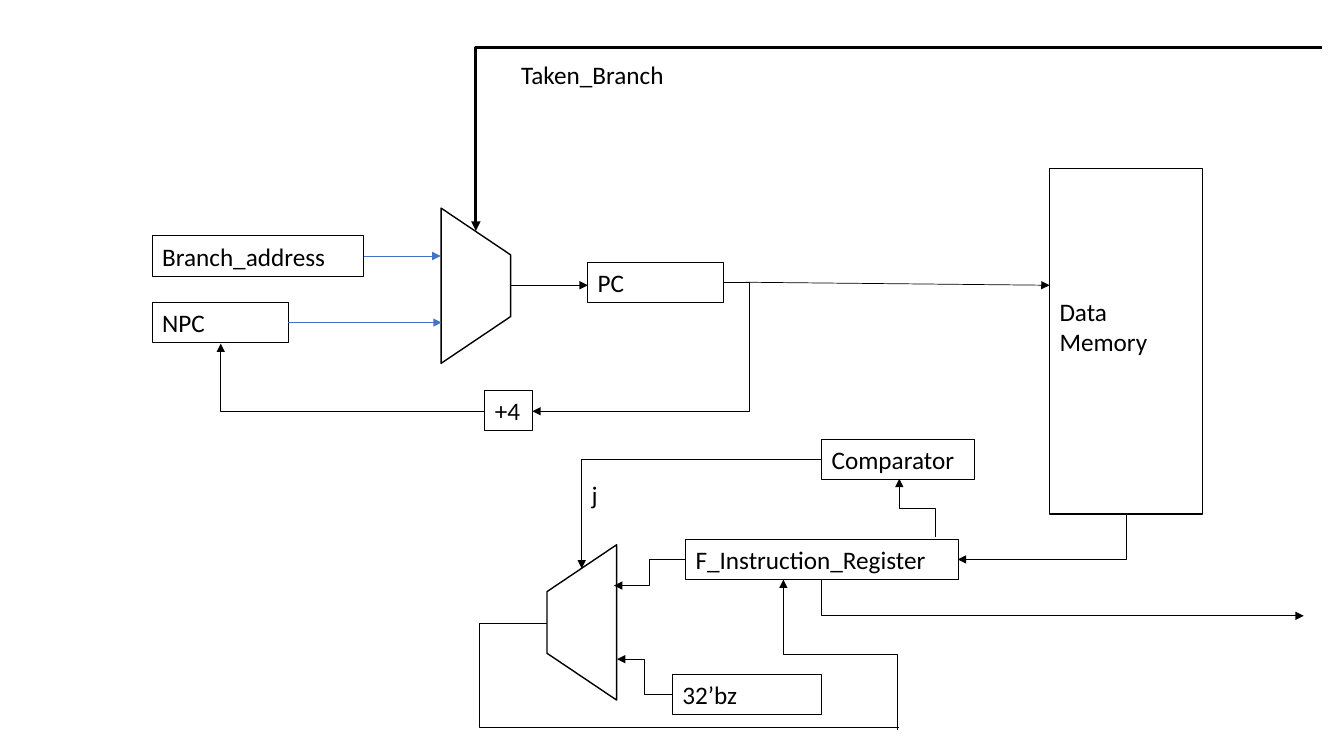
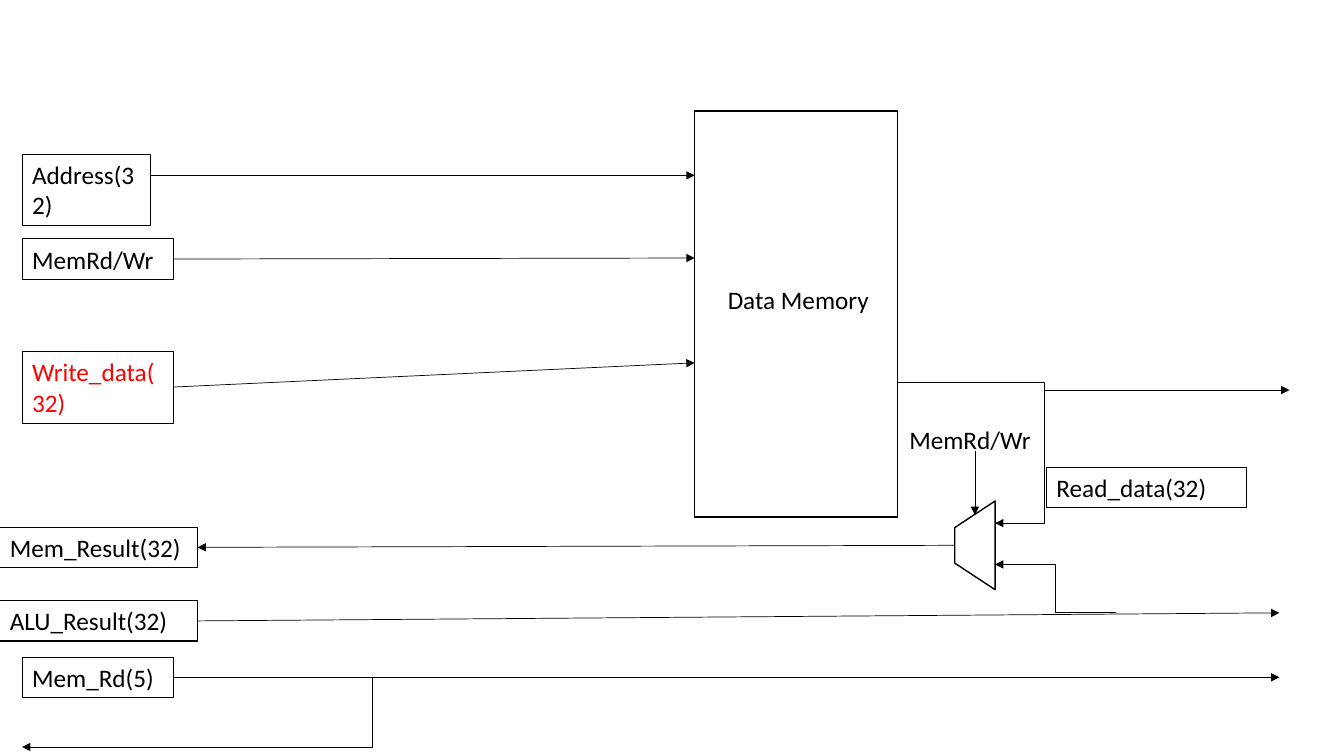
import pptx
import pptx.util
import pptx.dml.color
import pptx.enum.shapes
import pptx.enum.text
import pptx.oxml
import pptx.oxml.ns
import lxml.etree

Inches, Pt = pptx.util.Inches, pptx.util.Pt
RGBColor = pptx.dml.color.RGBColor
SHAPE = pptx.enum.shapes.MSO_SHAPE
LINK = pptx.enum.shapes.MSO_CONNECTOR
qn = pptx.oxml.ns.qn

# Shared look
BLACK = RGBColor(0, 0, 0)
WHITE = RGBColor(255, 255, 255)
RED = RGBColor(255, 0, 0)
BLUE = RGBColor(0x44, 0x72, 0xC4)
FONT, SIZE = "Calibri", 18
ROW = 0.4    # height of a one-line box
LINE = 0.305  # height of one text line

deck = pptx.Presentation()
deck.slide_width, deck.slide_height = Inches(13.33), Inches(7.5)


def block(slide, text, x, y, w, h=ROW, color=BLACK, edge=0.75, drop=0):
    """Text in a bordered box, or a bare label when edge is 0."""
    area = [Inches(n) for n in (x, y, w, h)]
    if edge:
        shape = slide.shapes.add_shape(SHAPE.RECTANGLE, *area)
        shape.shadow.inherit = False
        shape.fill.solid()
        shape.fill.fore_color.rgb = WHITE
        shape.line.color.rgb = BLACK
        shape.line.width = Pt(edge)
    else:
        shape = slide.shapes.add_textbox(*area)
    frame = shape.text_frame
    frame.word_wrap = True
    frame.vertical_anchor = pptx.enum.text.MSO_ANCHOR.TOP
    frame.margin_top = Inches(0.05 + drop * LINE)
    para = frame.paragraphs[0]
    para.text = text
    para.alignment = pptx.enum.text.PP_ALIGN.LEFT
    para.font.name, para.font.size = FONT, Pt(SIZE)
    para.font.color.rgb = color


def wire(slide, *pts, color=BLACK, width=0.5, arrow=True):
    """Straight or right-angled connector through the given points."""
    (x1, y1), (x2, y2) = pts[0], pts[-1]
    dx, dy = x2 - x1, y2 - y1
    bent = len(pts) > 2
    turned = bent and pts[1][0] == x1  # sets off vertically
    u, v = (dy, -dx) if turned else (dx, dy)
    cx, cy = (x1 + x2) / 2, (y1 + y2) / 2
    ends = (cx - u / 2, cy - v / 2, cx + u / 2, cy + v / 2)
    kind = LINK.ELBOW if bent else LINK.STRAIGHT
    link = slide.shapes.add_connector(kind, *[Inches(n) for n in ends])
    link.line.color.rgb = color
    link.line.width = Pt(width)
    props = link._element.spPr
    if turned:
        props.find(qn("a:xfrm")).set("rot", "5400000")
    if bent:
        geom = props.find(qn("a:prstGeom"))
        geom.set("prst", f"bentConnector{len(pts) - 1}")
        guides = geom.find(qn("a:avLst"))
        # Each inner leg is placed as a share of the whole run
        for i in range(1, len(pts) - 2):
            flat = (i % 2 == 1) != turned
            share = (pts[i][0] - x1) / dx if flat else (pts[i + (i > 1)][1] - y1) / dy
            if i == 2:
                share = (pts[2][0] - x1) / dx if turned else (pts[2][1] - y1) / dy
            lxml.etree.SubElement(guides, qn("a:gd"), name=f"adj{i}",
                                  fmla=f"val {round(share * 100000)}")
    if arrow:
        lxml.etree.SubElement(props.find(qn("a:ln")), qn("a:tailEnd"), type="triangle")
    lxml.etree.SubElement(props, qn("a:effectLst"))


fetch, memory = [deck.slides.add_slide(deck.slide_layouts[6]) for _ in range(2)]

# Multiplexers
for slide, x, y, w, h, turn, slant in [
    (fetch, 3.95, 2.49, 1.54, 0.69, 90, 0.673),
    (fetch, 5, 5.83, 1.54, 0.69, 270, 0.673),
    (memory, 9.23, 5.21, 0.88, 0.4, 270, 0.659),
]:
    mux = slide.shapes.add_shape(SHAPE.TRAPEZOID, *[Inches(n) for n in (x, y, w, h)])
    mux.rotation = turn
    mux.adjustments[0] = slant
    mux.shadow.inherit = False
    mux.fill.solid()
    mux.fill.fore_color.rgb = WHITE
    mux.line.color.rgb = BLACK
    mux.line.width = Pt(1)

# Fetch stage: boxes and labels
for text, x, y, w in [
    ("Branch_address", 1.51, 2.34, 2.1),
    ("NPC", 1.51, 3, 1.35),
    ("PC", 5.83, 2.6, 1.35),
    ("+4", 4.81, 3.87, 0.47),
    ("F_Instruction_Register", 6.8, 5.35, 2.71),
    ("Comparator", 8.15, 4.36, 1.52),
    ("32’bz", 6.67, 6.69, 1.48),
]:
    block(fetch, text, x, y, w)
block(fetch, "Data Memory", 10.41, 1.67, 1.52, 3.43, drop=4)
block(fetch, "Taken_Branch", 5.07, 0.54, 1.73, edge=0)
block(fetch, "j", 5.77, 4.71, 0.46, edge=0)

# Fetch stage: wires
wire(fetch, (3.61, 2.54), (4.37, 2.54), color=BLUE)
wire(fetch, (2.86, 3.2), (4.38, 3.2), color=BLUE)
wire(fetch, (13.11, 0.47), (4.72, 0.47), (4.72, 2.29), width=2.25)
wire(fetch, (5.43, 6.18), (4.75, 6.18), (4.75, 7.22), (8.92, 7.22), arrow=False)
for pts in [
    [(5.07, 2.83), (5.83, 2.83)],
    [(7.18, 2.8), (7.43, 2.8), (7.43, 4.08), (5.28, 4.08)],
    [(4.81, 4.08), (2.19, 4.08), (2.19, 3.41)],
    [(7.4, 2.8), (10.41, 2.83)],
    [(11.17, 5.1), (11.17, 5.55), (9.5, 5.55)],
    [(8.15, 5.75), (8.15, 6.11), (12.93, 6.11)],
    [(9.28, 5.33), (9.28, 5.04), (8.92, 5.04), (8.92, 4.75)],
    [(8.15, 4.56), (5.77, 4.56), (5.77, 5.64)],
    [(6.67, 6.89), (6.39, 6.89), (6.39, 6.54), (6.12, 6.54)],
    [(6.8, 5.55), (6.44, 5.55), (6.44, 5.81), (6.09, 5.81)],
    [(8.9, 7.24), (8.9, 6.49), (7.77, 6.49), (7.77, 5.75)],
]:
    wire(fetch, *pts)

# Memory stage: boxes and labels
block(memory, "", 6.89, 1.1, 2.01, 4.03, edge=1)
block(memory, "Data Memory", 7.12, 2.77, 1.77, edge=0)
block(memory, "MemRd/Wr", 8.92, 4.16, 1.43, edge=0)
block(memory, "Address(32)", 0.22, 1.53, 1.27, 0.71)
block(memory, "Write_data(32)", 0.22, 3.49, 1.5, 0.71, color=RED)
for text, x, y, w in [
    ("MemRd/Wr", 0.22, 2.37, 1.5),
    ("Read_data(32)", 10.38, 4.64, 1.98),
    ("Mem_Result(32)", 0, 5.23, 1.96),
    ("ALU_Result(32)", 0, 5.96, 1.96),
    ("Mem_Rd(5)", 0.22, 6.52, 1.5),
]:
    block(memory, text, x, y, w)

# Memory stage: wires
for pts in [
    [(1.5, 1.74), (6.89, 1.74)],
    [(1.72, 2.57), (6.89, 2.56)],
    [(1.72, 3.84), (6.89, 3.6)],
    [(8.9, 2.59), (8.9, 3.79), (10.36, 3.79), (10.36, 5.19), (9.87, 5.19)],
    [(1.72, 6.72), (3.69, 6.72), (3.69, 7.41), (0.22, 7.41)],
    [(3.69, 6.72), (12.69, 6.72)],
    [(1.96, 6.16), (12.69, 6.08)],
    [(11.07, 6.08), (10.47, 6.08), (10.47, 5.6), (9.87, 5.6)],
    [(9.47, 5.41), (1.96, 5.43)],
    [(9.67, 4.47), (9.67, 5.11)],
    [(10.35, 3.87), (12.79, 3.87)],
]:
    wire(memory, *pts)

deck.save("out.pptx")
